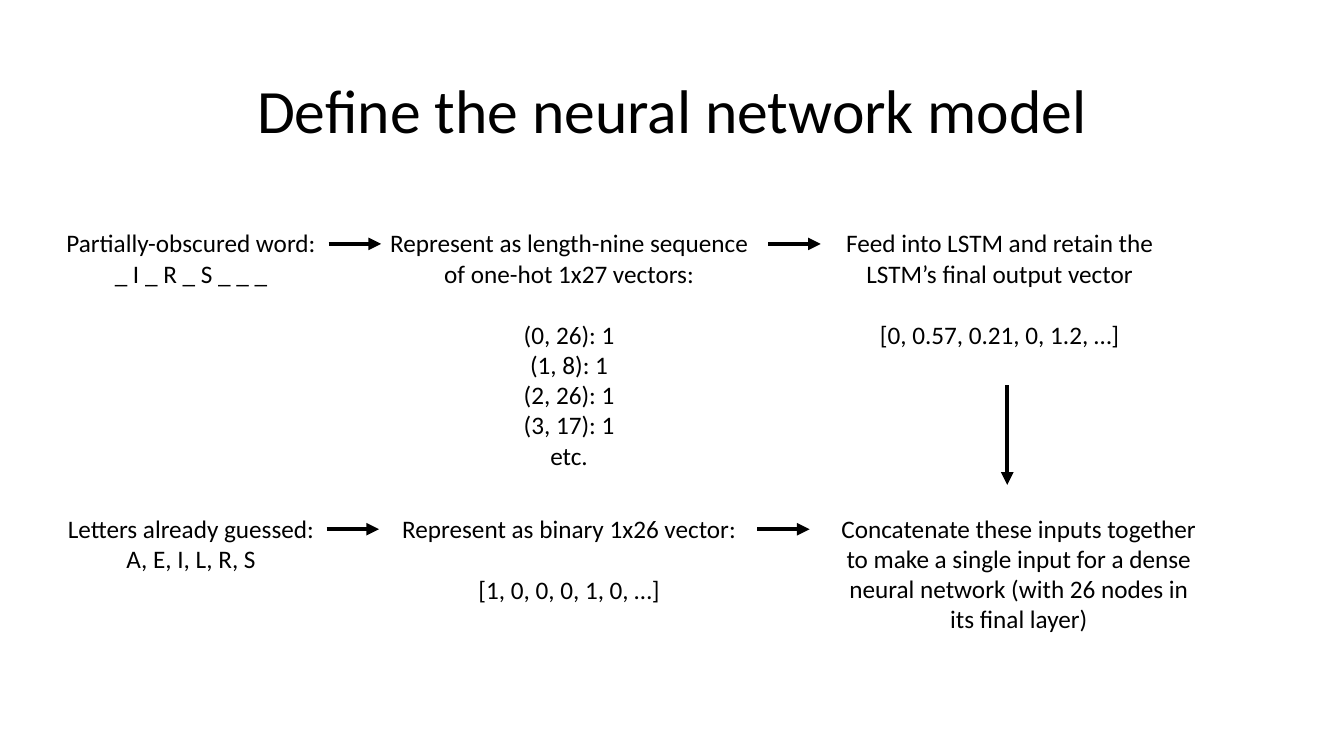
"""Build a slide that shows the inputs of a neural network as a flow of steps."""
from lxml import etree
from pptx import Presentation
from pptx.dml.color import RGBColor
from pptx.enum.shapes import MSO_CONNECTOR
from pptx.enum.text import MSO_ANCHOR, MSO_AUTO_SIZE, PP_ALIGN
from pptx.oxml.ns import qn
from pptx.util import Inches, Pt

STRAIGHT = MSO_CONNECTOR.STRAIGHT
MIDDLE, TOP = MSO_ANCHOR.MIDDLE, MSO_ANCHOR.TOP
FIT_SHAPE, NO_FIT = MSO_AUTO_SIZE.SHAPE_TO_FIT_TEXT, MSO_AUTO_SIZE.NONE
CENTER = PP_ALIGN.CENTER
BLACK = "000000"
FONT = "Calibri"
LINE_HEIGHT = 22
TOP_ROW, BOTTOM_ROW = 2.21, 5.04
ARROW_DROP = 0.21
ARROW_LENGTH = 0.52


def color(hex_string):
    return RGBColor.from_string(hex_string)


def write_text(shape, lines, size=18, anchor=TOP, fit=FIT_SHAPE, spacing=1.0, gap=0):
    """Fill a shape with centred lines, leaving a gap after the first."""
    frame = shape.text_frame
    frame.word_wrap = True
    frame.auto_size = fit
    frame.vertical_anchor = anchor
    for index, line in enumerate(lines):
        paragraph = frame.add_paragraph() if index else frame.paragraphs[0]
        paragraph.alignment = CENTER
        paragraph.line_spacing = spacing
        if index == 1:
            paragraph.space_before = Pt(gap)
        run = paragraph.add_run()
        run.text = line
        run.font.name = FONT
        run.font.size = Pt(size)
        run.font.color.rgb = color(BLACK)


presentation = Presentation()
presentation.slide_width = Inches(13.33)
presentation.slide_height = Inches(7.5)
slide = presentation.slides.add_slide(presentation.slide_layouts.get_by_name("Title Only"))

title = slide.shapes.title
title.left, title.top = Inches(0.92), Inches(0.4)
title.width, title.height = Inches(11.5), Inches(1.45)
write_text(title, ["Define the neural network model"],
           size=44, anchor=MIDDLE, fit=NO_FIT, spacing=0.9)

steps = [
    (0.53, TOP_ROW, 2.73, 0.71, 0,
     ["Partially-obscured word:", "_ I _ R _ S _ _ _"]),
    (3.76, TOP_ROW, 3.77, 2.52, LINE_HEIGHT,
     ["Represent as length-nine sequence of one-hot 1x27 vectors:",
      "(0, 26): 1", "(1, 8): 1", "(2, 26): 1", "(3, 17): 1", "etc."]),
    (8.03, TOP_ROW, 3.77, 1.62, LINE_HEIGHT,
     ["Feed into LSTM and retain the LSTM’s final output vector",
      "[0, 0.57, 0.21, 0, 1.2, …]"]),
    (0.53, BOTTOM_ROW, 2.73, 0.71, 0,
     ["Letters already guessed:", "A, E, I, L, R, S"]),
    (3.76, BOTTOM_ROW, 3.77, 1.01, LINE_HEIGHT,
     ["Represent as binary 1x26 vector:", "[1, 0, 0, 0, 1, 0, …]"]),
    (8.22, BOTTOM_ROW, 3.77, 1.31, 0,
     ["Concatenate these inputs together to make a single input for a dense "
      "neural network (with 26 nodes in its final layer)"]),
]
for left, top, width, height, gap, lines in steps:
    step_box = slide.shapes.add_textbox(
        Inches(left), Inches(top), Inches(width), Inches(height))
    write_text(step_box, lines, gap=gap)

arrows = [(9.99, 3.82, 9.99, 4.81)]
for row, starts in [(TOP_ROW, (3.26, 7.62)), (BOTTOM_ROW, (3.24, 7.51))]:
    for start in starts:
        arrows.append((start, row + ARROW_DROP, start + ARROW_LENGTH, row + ARROW_DROP))

for arrow in arrows:
    connector = slide.shapes.add_connector(STRAIGHT, *[Inches(value) for value in arrow])
    connector.line.color.rgb = color(BLACK)
    connector.line.width = Pt(3)
    etree.SubElement(connector.line._get_or_add_ln(), qn("a:tailEnd"), type="triangle")
    etree.SubElement(connector._element.spPr, qn("a:effectLst"))

presentation.save("out.pptx")
